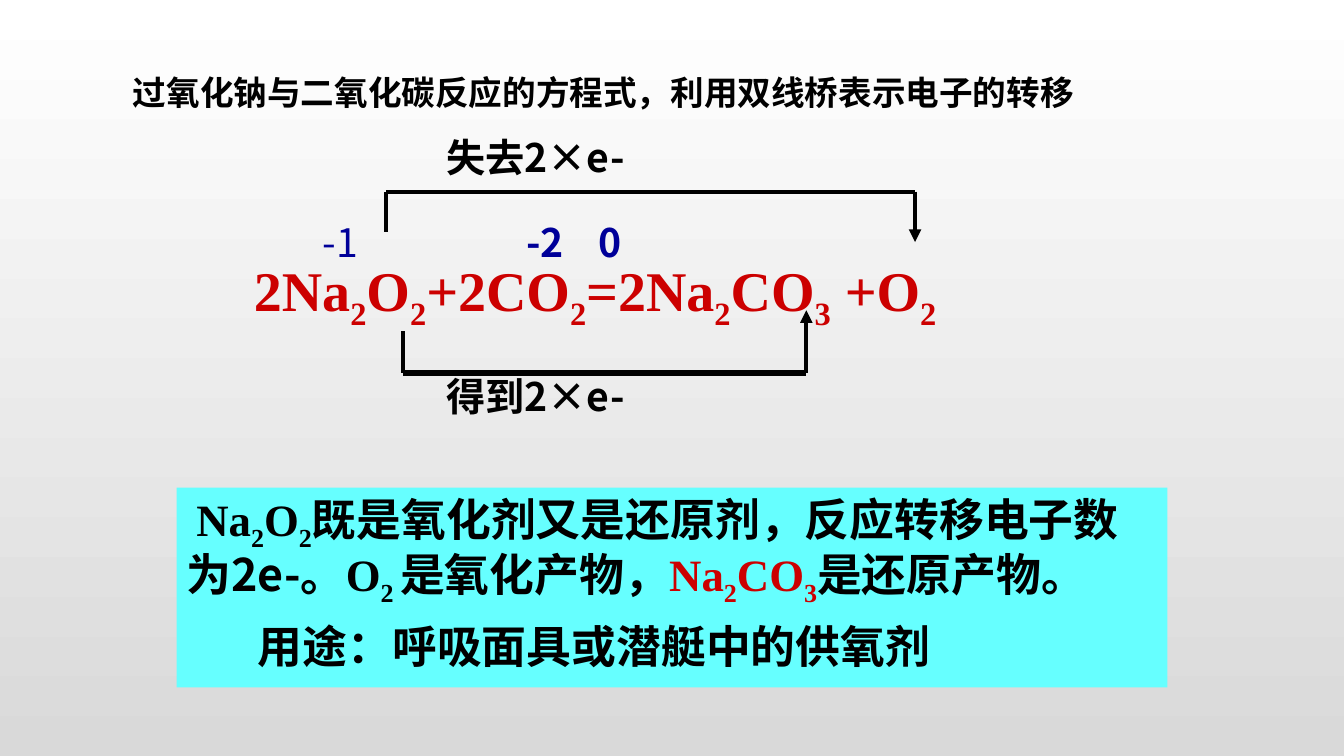
from dataclasses import dataclass

from lxml.etree import SubElement as Sub
from pptx import Presentation
from pptx.dml.color import RGBColor as Rgb
from pptx.enum.shapes import MSO_CONNECTOR as Link, MSO_SHAPE as Form
from pptx.enum.text import MSO_ANCHOR as Anchor, PP_ALIGN as Align
from pptx.oxml.ns import qn
from pptx.util import Cm, Pt


@dataclass(frozen=True)
class Theme:
    """Colours, fonts and sizes of the slide."""
    black: str = "000000"
    red: str = "CC0000"
    blue: str = "000099"
    cyan: str = "66FFFF"
    top: str = "FFFFFF"
    base: str = "D9D9D9"
    serif: str = "Times New Roman"
    sans: str = "Noto Sans CJK SC"
    label: str = "Noto Sans CJK JP"
    plain: str = "Arial"
    title: int = 24
    note: int = 28
    body: int = 32
    large: int = 40
    thin: float = 3
    thick: float = 4.5


LOOK = Theme()


def add_run(para, text, face, size, color=LOOK.black, bold=True, sub=False):
    """Add one run with its font set for Latin and Chinese text."""
    run = para.add_run()
    run.text = text
    font = run.font
    font.size, font.bold, font.name = Pt(size), bold, face
    font.color.rgb = Rgb.from_string(color)
    props = run._r.get_or_add_rPr()
    Sub(props, qn("a:ea")).set("typeface", face)
    if sub:
        props.set("baseline", "-25000")


def add_formula(para, code, size, color=LOOK.black):
    """Add a formula in which underscores enclose each subscript."""
    for place, part in enumerate(code.split("_")):
        if part:
            add_run(para, part, LOOK.serif, size, color, sub=place % 2 == 1)


def set_frame(shape, space=0.9):
    """Prepare a text frame and return its first paragraph."""
    frame = shape.text_frame
    frame.word_wrap = True
    frame.vertical_anchor = Anchor.TOP
    para = frame.paragraphs[0]
    para.alignment, para.line_spacing = Align.LEFT, space
    return para


def add_text(slide, box, space=0.9):
    """Add a text box and return its first paragraph."""
    return set_frame(slide.shapes.add_textbox(*map(Cm, box)), space)


def add_line(slide, start, end, width=LOOK.thin, arrow=False):
    """Draw a black line, with an arrowhead at its end if asked."""
    line = slide.shapes.add_connector(Link.STRAIGHT, *map(Cm, start + end))
    line.line.color.rgb = Rgb.from_string(LOOK.black)
    line.line.width = Pt(width)
    if arrow:
        Sub(line.line._get_or_add_ln(), qn("a:tailEnd")).set("type", "triangle")
    Sub(line._element.spPr, qn("a:effectLst"))


def add_bridge(slide, box, legs, width=LOOK.thin):
    """Draw a bridge whose bar is at the box top, with legs of given drop."""
    left, top, span = box
    right = left + span
    near, far = legs
    add_line(slide, (left, top), (left, top + near))
    add_line(slide, (right, top), (right, top + far), arrow=True)
    add_line(slide, (left, top), (right, top), width)


def add_title(slide, box):
    """Add the heading."""
    para = add_text(slide, box, 1.4)
    add_run(para, "过氧化钠与二氧化碳反应的方程式，利用双线桥表示电子的转移",
            LOOK.sans, LOOK.title)


def add_states(slide, box):
    """Add the oxidation states at tab stops."""
    para = add_text(slide, box)
    tabs = Sub(para._p.get_or_add_pPr(), qn("a:tabLst"))
    states = (("-1", 0.89, False), ("-2", 6.02, True), ("0", 7.85, True))
    for text, stop, bold in states:
        tab = Sub(tabs, qn("a:tab"))
        tab.set("pos", str(Cm(stop)))
        tab.set("algn", "l")
        add_run(para, "\t" + text, LOOK.label, LOOK.note, LOOK.blue, bold)


def add_scheme(slide, box):
    """Draw the equation with its two electron bridges."""
    left, top, width, height = box
    para = add_text(slide, (left, top + 2.97, width, height - 4.63))
    add_formula(para, "2Na_2_O_2_+2CO_2_=2Na_2_CO_3_ +O_2_",
                LOOK.large, LOOK.red)
    for text, drop in (("失去2×e-", 0), ("得到2×e-", 6.02)):
        para = add_text(slide, (left + 4.85, top + drop, 16.3, 1.45))
        add_run(para, text, LOOK.label, LOOK.note)
    add_bridge(slide, (left + 3.58, top + 1.45, 13.33), (1.01, 1.27))
    add_bridge(slide, (left + 4.01, top + 6.02, 10.16), (-1.07, -1.58),
               LOOK.thick)
    add_states(slide, (left + 0.84, top + 2.13, 22.66, 1.45))


def add_answer(slide, box):
    """Add the panel with the conclusion and the use."""
    panel = slide.shapes.add_shape(Form.RECTANGLE, *map(Cm, box))
    panel.shadow.inherit = False
    panel.fill.solid()
    panel.fill.fore_color.rgb = Rgb.from_string(LOOK.cyan)
    panel.line.fill.background()
    para = set_frame(panel)
    para._p.get_or_add_pPr().set("indent", str(Cm(0.25)))
    size = LOOK.body
    parts = (
        ("Na_2_O_2_", LOOK.black,
         "既是氧化剂又是还原剂，反应转移电子数为2e-。"),
        ("O_2 _", LOOK.black, "是氧化产物，"),
        ("Na_2_CO_3_", LOOK.red, "是还原产物。"),
    )
    for code, color, text in parts:
        add_formula(para, code, size, color)
        add_run(para, text, LOOK.sans, size)
    use = panel.text_frame.add_paragraph()
    use.alignment, use.line_spacing = Align.LEFT, 0.9
    use.space_before = Pt(size / 2)
    use._p.get_or_add_pPr().set("indent", str(Cm(1.8)))
    add_run(use, "用途：呼吸面具或潜艇中的供氧剂", LOOK.plain, size)


def set_back(slide):
    """Fill the background with a vertical gradient."""
    fill = slide.background.fill
    fill.gradient()
    fill.gradient_angle = 270
    for stop, color, place in zip(fill.gradient_stops,
                                  (LOOK.top, LOOK.base), (0, 1)):
        stop.color.rgb = Rgb.from_string(color)
        stop.position = place


def main():
    """Build and save the slide."""
    deck = Presentation()
    deck.slide_width, deck.slide_height = Cm(33.87), Cm(19.05)
    slide = deck.slides.add_slide(deck.slide_layouts[6])
    set_back(slide)
    add_scheme(slide, (6.15, 3.38, 18.2, 6.43))
    add_title(slide, (3.1, 1.27, 24.6, 1.68))
    add_answer(slide, (4.45, 12.29, 24.97, 5.03))
    deck.save("out.pptx")


if __name__ == "__main__":
    main()
